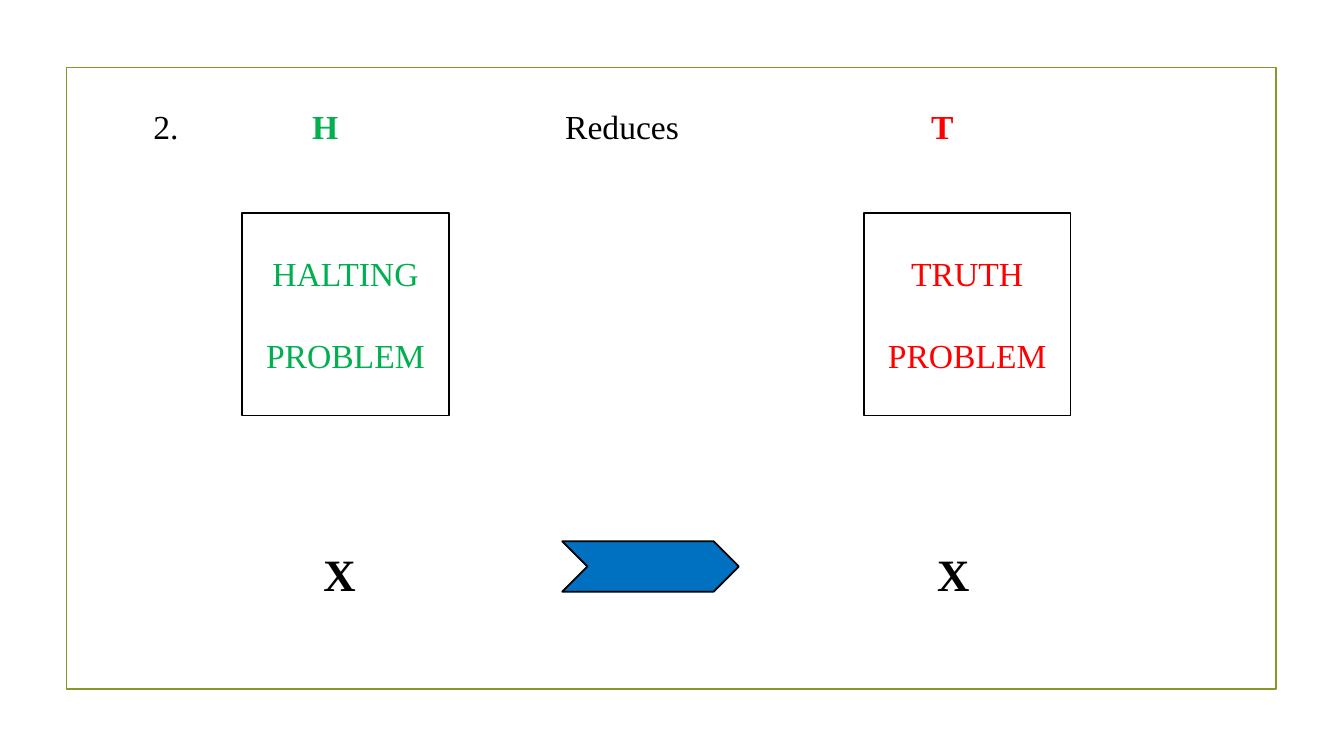
from lxml.etree import SubElement
from pptx import Presentation
from pptx.dml.color import RGBColor
from pptx.enum.shapes import MSO_SHAPE
from pptx.enum.text import MSO_ANCHOR, PP_ALIGN
from pptx.oxml.ns import qn
from pptx.util import Cm, Pt

BLACK = RGBColor(0x00, 0x00, 0x00)
WHITE = RGBColor(0xFF, 0xFF, 0xFF)
OLIVE = RGBColor(0x83, 0x99, 0x2A)
GREEN = RGBColor(0x00, 0xB0, 0x50)
RED = RGBColor(0xFF, 0x00, 0x00)
BLUE = RGBColor(0x00, 0x70, 0xC0)


class Deck:
    font = "Times New Roman"
    line_width = Pt(1.25)

    def __init__(self, prs):
        self.s = prs.slides.add_slide(prs.slide_layouts[5])

    def style(self, p, size, color=BLACK, bold=False):
        p.font.name = self.font
        p.font.size = Pt(size)
        p.font.color.rgb = color
        p.font.bold = bold

    def shape(self, kind, x, y, w, h, fill=None, line=BLACK):
        sp = self.s.shapes.add_shape(kind, Cm(x), Cm(y), Cm(w), Cm(h))
        sp.shadow.inherit = False
        if fill is None:
            sp.fill.background()
        else:
            sp.fill.solid()
            sp.fill.fore_color.rgb = fill
        sp.line.color.rgb = line
        sp.line.width = self.line_width
        return sp

    def heading(self, x, y, w, h, parts, stops):
        sp = self.s.shapes.title
        sp.left, sp.top, sp.width, sp.height = Cm(x), Cm(y), Cm(w), Cm(h)
        tf = sp.text_frame
        tf.vertical_anchor = MSO_ANCHOR.TOP
        p = tf.paragraphs[0]
        p.alignment = PP_ALIGN.LEFT
        tabs = SubElement(p._p.get_or_add_pPr(), qn("a:tabLst"))
        for stop in stops:
            SubElement(tabs, qn("a:tab"), pos=str(Cm(stop)), algn="l")
        self.style(p, 24)
        for text, color, bold in parts:
            r = p.add_run()
            r.text = text
            r.font.color.rgb = color
            r.font.bold = bold

    def problem_box(self, x, y, w, h, words, color):
        tf = self.shape(MSO_SHAPE.RECTANGLE, x, y, w, h, WHITE).text_frame
        tf.vertical_anchor = MSO_ANCHOR.MIDDLE
        tf.text = "\n".join(words)
        for p in tf.paragraphs:
            p.alignment = PP_ALIGN.CENTER
            self.style(p, 24, color)
        tf.paragraphs[-1].space_before = Pt(30)

    def label(self, x, y, w, h, text):
        tf = self.s.shapes.add_textbox(Cm(x), Cm(y), Cm(w), Cm(h)).text_frame
        tf.word_wrap = True
        tf.text = text
        self.style(tf.paragraphs[0], 32, bold=True)


def main():
    prs = Presentation()
    prs.slide_width, prs.slide_height = Cm(33.87), Cm(19.05)
    deck = Deck(prs)
    deck.shape(MSO_SHAPE.RECTANGLE, 1.68, 1.7, 30.48, 15.67, line=OLIVE)
    deck.heading(
        3.61, 2.54, 22.86, 1.27,
        [("2.", BLACK, False), ("\tH", GREEN, True),
         ("\tReduces", BLACK, False), ("\tT", RED, True)],
        [4, 10.38, 19.6],
    )
    for x, label_x, word, color in (
        (6.1, 7.9, "HALTING", GREEN),
        (21.77, 23.37, "TRUTH", RED),
    ):
        deck.problem_box(x, 5.36, 5.21, 5.11, [word, "PROBLEM"], color)
        deck.label(label_x, 13.64, 2.08, 1.63, "X")
    deck.shape(MSO_SHAPE.CHEVRON, 14.17, 13.64, 4.45, 1.27, BLUE)
    prs.save("out.pptx")


if __name__ == "__main__":
    main()
